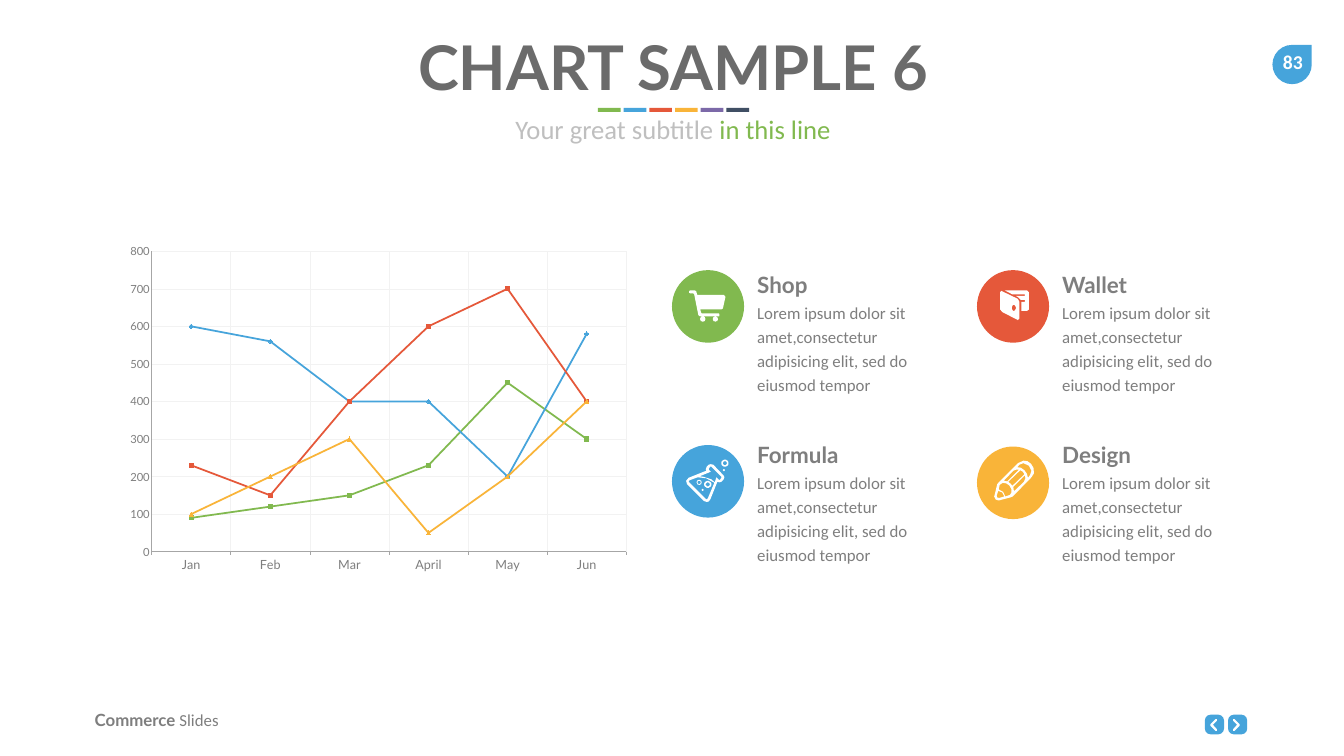
from math import cos, pi, sin

from lxml import etree
from pptx import Presentation
from pptx.chart.data import CategoryChartData
from pptx.dml.color import RGBColor
from pptx.enum.chart import XL_CHART_TYPE, XL_MARKER_STYLE, XL_TICK_MARK
from pptx.enum.shapes import MSO_SHAPE
from pptx.enum.text import MSO_ANCHOR, MSO_AUTO_SIZE, PP_ALIGN
from pptx.oxml.ns import qn
from pptx.util import Pt

PX = 9144
LEFT, CENTER = PP_ALIGN.LEFT, PP_ALIGN.CENTER
SQUARE, DIAMOND, TRIANGLE = XL_MARKER_STYLE.SQUARE, XL_MARKER_STYLE.DIAMOND, XL_MARKER_STYLE.TRIANGLE
RECT, OVAL = MSO_SHAPE.RECTANGLE, MSO_SHAPE.OVAL
ROUNDED, TEAR = MSO_SHAPE.ROUNDED_RECTANGLE, MSO_SHAPE.TEAR
C = {
    "green": "81B94F", "blue": "46A4DB", "red": "E5583A", "yellow": "F9B439",
    "purple": "7C69A8", "navy": "404F64", "title": "6B6B6B", "text": "7E7E7E",
    "subtitle": "BFBFBF", "grid": "F2F2F2", "axis": "A6A6A6", "white": "FFFFFF",
}
LOREM = "Lorem ipsum dolor sit amet,consectetur adipisicing elit, sed do eiusmod tempor"


def rgb(name):
    return RGBColor.from_string(C[name])


def oval(cx, cy, rx, ry=None, n=24):
    return [(cx + rx * cos(2 * pi * i / n), cy + (ry or rx) * sin(2 * pi * i / n)) for i in range(n)]


CART = [
    [(103, 49), (106, 53), (101, 76), (98, 78), (56, 78), (58, 85), (59, 86), (93, 86),
     (94, 87), (94, 91), (93, 92), (56, 92), (53, 90), (52, 88), (44, 48), (42, 46),
     (36, 46), (34, 45), (34, 42), (36, 40), (45, 40), (48, 42), (50, 49)],
    oval(61, 97, 5), oval(86, 97, 5),
]
FLASK = [
    [(82, 39), (77, 38), (73, 39), (69, 43), (67, 48), (68, 51), (33, 65), (28, 71),
     (30, 78), (63, 111), (69, 113), (73, 112), (76, 108), (90, 73), (94, 74), (98, 73),
     (102, 69), (104, 64), (102, 60)],
    [(71, 106), (69, 108), (67, 107), (34, 74), (33, 72), (35, 70), (51, 64), (68, 66), (84, 75)],
    [(98, 65), (95, 69), (93, 69), (88, 64), (85, 74), (78, 68), (62, 63), (55, 62),
     (77, 53), (73, 49), (73, 47), (76, 43), (78, 43), (98, 63)],
    oval(71, 78, 7), oval(71, 78, 4), oval(105, 36, 7), oval(105, 36, 4),
    oval(54, 74, 5), oval(54, 74, 3), oval(61, 89, 2), oval(103, 50, 2),
]
WALLET = [
    [(99, 40), (55, 40), (70, 48), (95, 48), (95, 51), (77, 51), (82, 54), (87, 59),
     (95, 59), (95, 63), (88, 63), (88, 81), (99, 81), (103, 78), (103, 44)],
    [(81, 57), (50, 42), (48, 41), (46, 44), (46, 78), (50, 83), (81, 99), (84, 96), (84, 63)],
    oval(73, 75, 4, 6),
]
PENCIL = [
    [(107, 34), (100, 29), (92, 28), (81, 33), (43, 71), (40, 75), (35, 96), (34, 99),
     (37, 105), (43, 107), (66, 101), (71, 99), (108, 61), (113, 53), (112, 42)],
    [(73, 87), (72, 80), (95, 57), (96, 63), (93, 70), (73, 89)],
    [(70, 78), (67, 74), (62, 70), (86, 47), (91, 50), (94, 55)],
    [(60, 69), (53, 68), (72, 48), (77, 46), (83, 46)],
    [(44, 102), (40, 101), (39, 98), (42, 88), (50, 91), (54, 99)],
    [(56, 99), (52, 90), (43, 85), (45, 76), (51, 72), (58, 73), (64, 77), (68, 84), (68, 92), (65, 96)],
    [(105, 57), (101, 62), (99, 54), (94, 47), (87, 42), (80, 41), (84, 36), (92, 33), (103, 38), (108, 48)],
]
CHEVRON = [(24, 29), (24, 32), (21, 32), (11, 22), (11, 19), (21, 9), (24, 9), (24, 12), (16, 20)]
SERIES = [
    ("Series 1", (90, 120, 150, 230, 450, 300), "green", SQUARE),
    ("Series 2", (600, 560, 400, 400, 200, 580), "blue", DIAMOND),
    ("Series 3", (230, 150, 400, 600, 700, 400), "red", SQUARE),
    ("Series 4", (100, 200, 300, 50, 200, 400), "yellow", TRIANGLE),
]
FEATURES = [
    ("Shop", "green", CART, 1333, 536, 515),
    ("Wallet", "red", WALLET, 1938, 536, 515),
    ("Formula", "blue", FLASK, 1333, 883, 852),
    ("Design", "yellow", PENCIL, 1938, 886, 852),
]


class Deck:
    def __init__(self, w, h):
        self.prs = Presentation()
        self.prs.slide_width, self.prs.slide_height = w * PX, h * PX
        self.s = self.prs.slides.add_slide(self.prs.slide_layouts[5])

    def paint(self, sp, color):
        sp.shadow.inherit = False
        sp.fill.solid()
        sp.fill.fore_color.rgb = rgb(color)
        sp.line.fill.background()

    def shape(self, kind, x, y, w, h, color):
        sp = self.s.shapes.add_shape(kind, x * PX, y * PX, w * PX, h * PX)
        self.paint(sp, color)
        return sp

    def icon(self, x, y, contours, color="white"):
        first, *rest = contours
        fb = self.s.shapes.build_freeform(*first[0], scale=PX)
        fb.add_line_segments(first[1:])
        for pts in rest:
            fb.move_to(*pts[0])
            fb.add_line_segments(pts[1:])
        self.paint(fb.convert_to_shape(x * PX, y * PX), color)

    def fill_text(self, sp, paragraphs, align=LEFT, insets=(10, 5, 10, 5), spacing=None):
        tf = sp.text_frame
        tf.word_wrap = True
        tf.auto_size = MSO_AUTO_SIZE.NONE
        tf.vertical_anchor = MSO_ANCHOR.TOP
        tf.margin_left, tf.margin_top, tf.margin_right, tf.margin_bottom = (v * PX for v in insets)
        for i, runs in enumerate(paragraphs):
            p = tf.add_paragraph() if i else tf.paragraphs[0]
            p.alignment = align
            if spacing:
                p.line_spacing = spacing
            for text, font, size, color, bold in runs:
                r = p.add_run()
                r.text = text
                r.font.name, r.font.size, r.font.bold = font, Pt(size), bold
                r.font.color.rgb = rgb(color)

    def text(self, x, y, w, h, paragraphs, **style):
        sp = self.s.shapes.add_textbox(x * PX, y * PX, w * PX, h * PX)
        self.fill_text(sp, paragraphs, **style)

    def title(self, x, y, w, h, runs):
        sp = self.s.shapes.title
        sp.left, sp.top, sp.width, sp.height = x * PX, y * PX, w * PX, h * PX
        self.fill_text(sp, [runs], align=CENTER)

    def line_chart(self, x, y, w, h, cats, series, plot):
        data = CategoryChartData()
        data.categories = cats
        for name, vals, _, _ in series:
            data.add_series(name, vals)
        chart = self.s.shapes.add_chart(
            XL_CHART_TYPE.LINE_MARKERS, x * PX, y * PX, w * PX, h * PX, data).chart
        chart.has_legend = chart.has_title = False
        chart.font.name, chart.font.size = "Lato", Pt(18)
        chart.font.color.rgb = rgb("text")
        chart.plots[0].vary_by_categories = False
        for ser, (_, _, color, marker) in zip(chart.plots[0].series, series):
            ser.smooth = False
            ser.format.line.width = Pt(2.5)
            ser.format.line.color.rgb = rgb(color)
            ser.marker.style, ser.marker.size = marker, 6
            ser.marker.format.fill.solid()
            ser.marker.format.fill.fore_color.rgb = rgb(color)
            ser.marker.format.line.fill.background()
        axes = ((chart.category_axis, 18, XL_TICK_MARK.OUTSIDE), (chart.value_axis, 16, XL_TICK_MARK.NONE))
        for axis, size, tick in axes:
            axis.major_tick_mark, axis.minor_tick_mark = tick, XL_TICK_MARK.NONE
            axis.tick_labels.font.size = Pt(size)
            axis.format.line.color.rgb = rgb("axis")
            axis.has_major_gridlines = True
            axis.major_gridlines.format.line.width = Pt(0.75)
            axis.major_gridlines.format.line.color.rgb = rgb("grid")
        chart.value_axis.minimum_scale, chart.value_axis.maximum_scale = 0, 800
        chart.value_axis.major_unit = 100
        area = chart.element.find(".//" + qn("c:plotArea"))
        for old in area.findall(qn("c:layout")):
            area.remove(old)
        layout = etree.Element(qn("c:layout"))
        area.insert(0, layout)
        manual = etree.SubElement(layout, qn("c:manualLayout"))
        tags = ("layoutTarget", "xMode", "yMode", "x", "y", "w", "h")
        for tag, val in zip(tags, ("inner", "edge", "edge", *plot)):
            etree.SubElement(manual, qn("c:" + tag)).set("val", str(val))


def main():
    d = Deck(2666, 1500)
    for x, chevron in ((2390, CHEVRON), (2436, [(34 - px, py) for px, py in CHEVRON])):
        d.shape(ROUNDED, x, 1418, 38, 39, "blue").adjustments[0] = 0.3
        d.icon(x, 1418, [chevron])
    d.shape(TEAR, 2524, 89, 78, 78, "blue")
    d.text(2521, 90, 87, 67, [[("83", "Calibri", 28, "white", True)]], align=CENTER, insets=(0, 10, 0, 10))
    d.text(178, 1404, 400, 50, [[("Commerce ", "Lato", 24, "text", True),
                                 ("Slides", "Calibri", 24, "text", False)]])
    d.title(190, 53, 2290, 158, [("CHART SAMPLE 6", "Lato", 88, "title", True)])
    for i, color in enumerate(("green", "blue", "red", "yellow", "purple", "navy")):
        d.shape(RECT, 1186 + 51 * i, 214, 45, 8, color)
    d.text(190, 220, 2290, 74, [[("Your great subtitle ", "Calibri", 38, "subtitle", False),
                                 ("in this line", "Calibri", 38, "green", False)]], align=CENTER)
    d.line_chart(238, 485, 1029, 673, ("Jan", "Feb", "Mar", "April", "May", "Jun"),
                 SERIES, (0.061, 0.02, 0.915, 0.886))
    for name, color, icon, x, y, text_y in FEATURES:
        d.shape(OVAL, x, y, 143, 144, color)
        d.icon(x, y, icon)
        d.text(x + 169, text_y, 386, 222,
               [[(name, "Lato", 32, "text", True)], [(LOREM, "Calibri", 24, "text", False)]],
               insets=(0, 13, 0, 0), spacing=1.2)
    d.prs.save("out.pptx")


if __name__ == "__main__":
    main()
